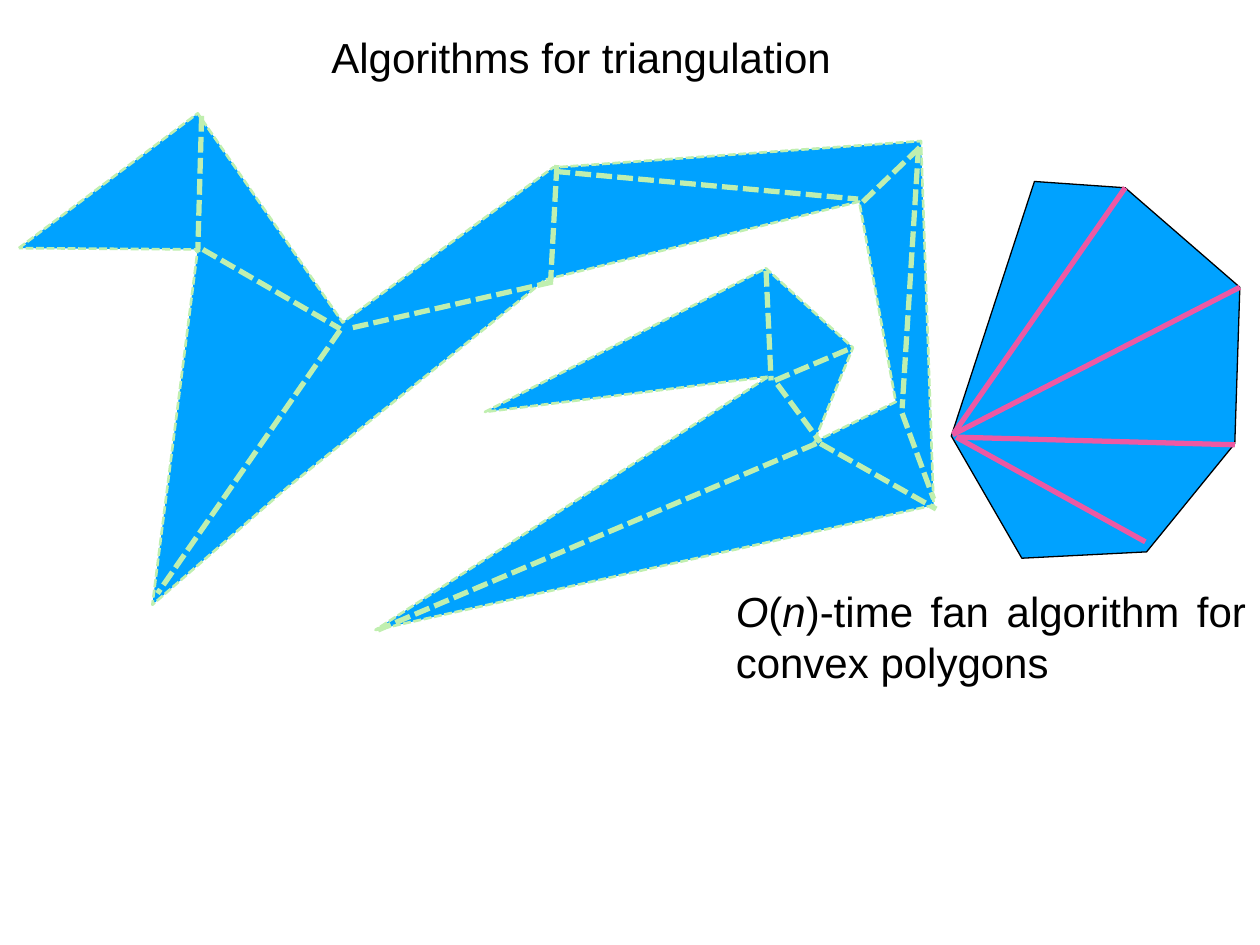
from lxml.etree import SubElement
from pptx import Presentation
from pptx.dml.color import RGBColor
from pptx.enum.dml import MSO_LINE
from pptx.enum.shapes import MSO_CONNECTOR
from pptx.enum.text import MSO_ANCHOR, PP_ALIGN
from pptx.oxml.ns import qn
from pptx.util import Inches, Pt

BLUE, GREEN, PINK, BLACK = "00A2FF", "C0EFAF", "ED59A3", "000000"

# Corner points in inches, in drawing order
DUCK = [(0.15, 1.97), (1.57, 0.9), (2.72, 2.56), (4.39, 1.33), (7.31, 1.12),
        (7.41, 4.01), (2.98, 5), (6.1, 2.99), (3.85, 3.27), (6.08, 2.13),
        (6.77, 2.76), (6.46, 3.51), (7.11, 3.19), (6.82, 1.6), (4.33, 2.22),
        (2.28, 3.87), (1.21, 4.8), (1.57, 1.98)]
CONVEX = [(7.55, 3.46), (8.11, 4.43), (9.1, 4.38), (9.8, 3.52),
          (9.84, 2.28), (8.93, 1.49), (8.21, 1.44)]

# Diagonals as (from, to)
DUCK_DIAGONALS = [
    ((1.6, 0.92), (1.57, 2)), ((4.42, 1.31), (4.37, 2.24)),
    ((6.48, 3.52), (3, 5)), ((2.8, 2.6), (4.42, 2.23)),
    ((6.51, 3.52), (7.43, 4.04)), ((2.7, 2.62), (1.25, 4.71)),
    ((6.08, 2.15), (6.12, 3.02)), ((7.16, 3.28), (7.41, 3.96)),
    ((6.17, 3.05), (6.51, 3.51)), ((6.15, 3.02), (6.74, 2.77)),
    ((7.3, 1.17), (6.83, 1.62)), ((7.29, 1.17), (7.16, 3.24)),
    ((1.61, 1.98), (2.7, 2.61)), ((4.4, 1.36), (6.81, 1.58))]
FAN_DIAGONALS = [
    ((7.59, 3.47), (9.09, 4.3)), ((7.6, 3.47), (9.8, 3.53)),
    ((7.56, 3.45), (9.84, 2.28)), ((7.57, 3.44), (8.93, 1.49))]


def rgb(color):
    return RGBColor.from_string(color)


def format_line(line, color, width, dash=None):
    line.color.rgb = rgb(color)
    line.width = Pt(width)
    if dash:
        line.dash_style = dash


def add_polygon(shapes, points, color, width, dash=None):
    corners = [(Inches(x), Inches(y)) for x, y in points]
    builder = shapes.build_freeform(*corners[0])
    builder.add_line_segments(corners[1:], close=True)
    sp = builder.convert_to_shape()
    sp.shadow.inherit = False
    sp.fill.solid()
    sp.fill.fore_color.rgb = rgb(BLUE)
    format_line(sp.line, color, width, dash)


def add_diagonals(shapes, diagonals, color, dash=None):
    for start, end in diagonals:
        ends = [Inches(v) for v in start + end]
        line = shapes.add_connector(MSO_CONNECTOR.STRAIGHT, *ends)
        format_line(line.line, color, 3, dash)
        SubElement(line._element.spPr, qn("a:effectLst"))


def write_text(sp, runs, anchor):
    """Fill a box with one justified paragraph of (text, italic) runs."""
    tf = sp.text_frame
    tf.word_wrap = True
    tf.vertical_anchor = anchor
    tf.margin_left = tf.margin_right = Inches(0.06)
    tf.margin_top = tf.margin_bottom = Inches(0.06)
    p = tf.paragraphs[0]
    p.alignment = PP_ALIGN.JUSTIFY
    for text, italic in runs:
        r = p.add_run()
        r.text = text
        r.font.name = "Arial"
        r.font.size = Pt(24)
        r.font.italic = italic
        r.font.color.rgb = rgb(BLACK)


def main():
    prs = Presentation()
    prs.slide_width, prs.slide_height = Inches(10), Inches(7.5)
    slide = prs.slides.add_slide(prs.slide_layouts[5])
    shapes = slide.shapes
    box_size = Inches(4.17), Inches(0.92)

    # Title
    title = shapes.title
    title.left, title.top = Inches(2.57), Inches(0.19)
    title.width, title.height = box_size
    write_text(title, [("Algorithms for triangulation", False)], MSO_ANCHOR.TOP)

    # Duck-shaped simple polygon with its triangulation
    add_polygon(shapes, DUCK, GREEN, 1.5, MSO_LINE.SQUARE_DOT)
    group = shapes.add_group_shape()
    add_diagonals(group.shapes, DUCK_DIAGONALS, GREEN, MSO_LINE.SQUARE_DOT)

    # Convex polygon with its fan
    add_polygon(shapes, CONVEX, BLACK, 0.75)
    add_diagonals(shapes, FAN_DIAGONALS, PINK)

    # Caption
    caption = shapes.add_textbox(Inches(5.78), Inches(4.59), *box_size)
    write_text(caption, [("O", True), ("(", False), ("n", True),
                         (")-time fan algorithm for convex polygons", False)],
               MSO_ANCHOR.MIDDLE)

    prs.save("out.pptx")


if __name__ == "__main__":
    main()
